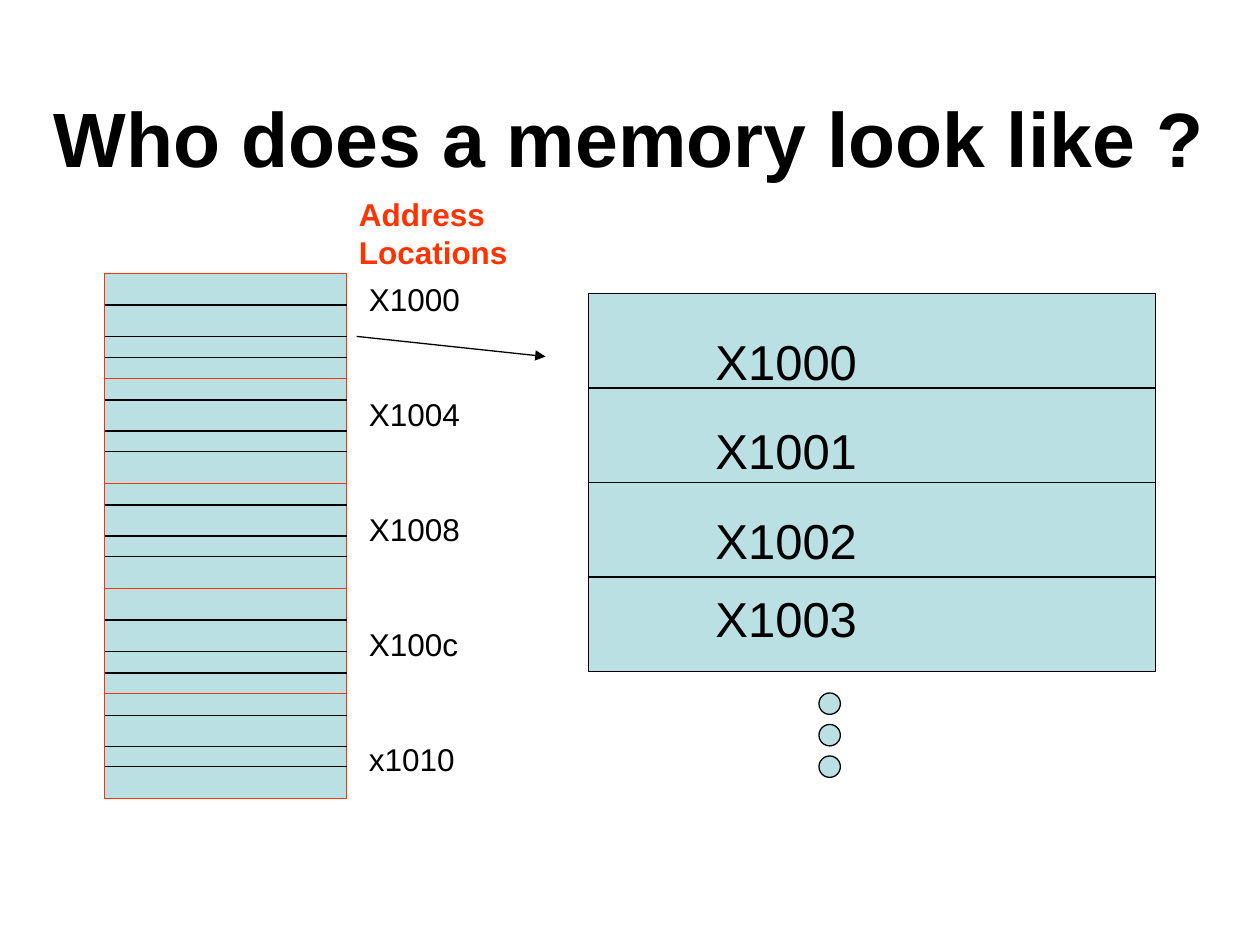
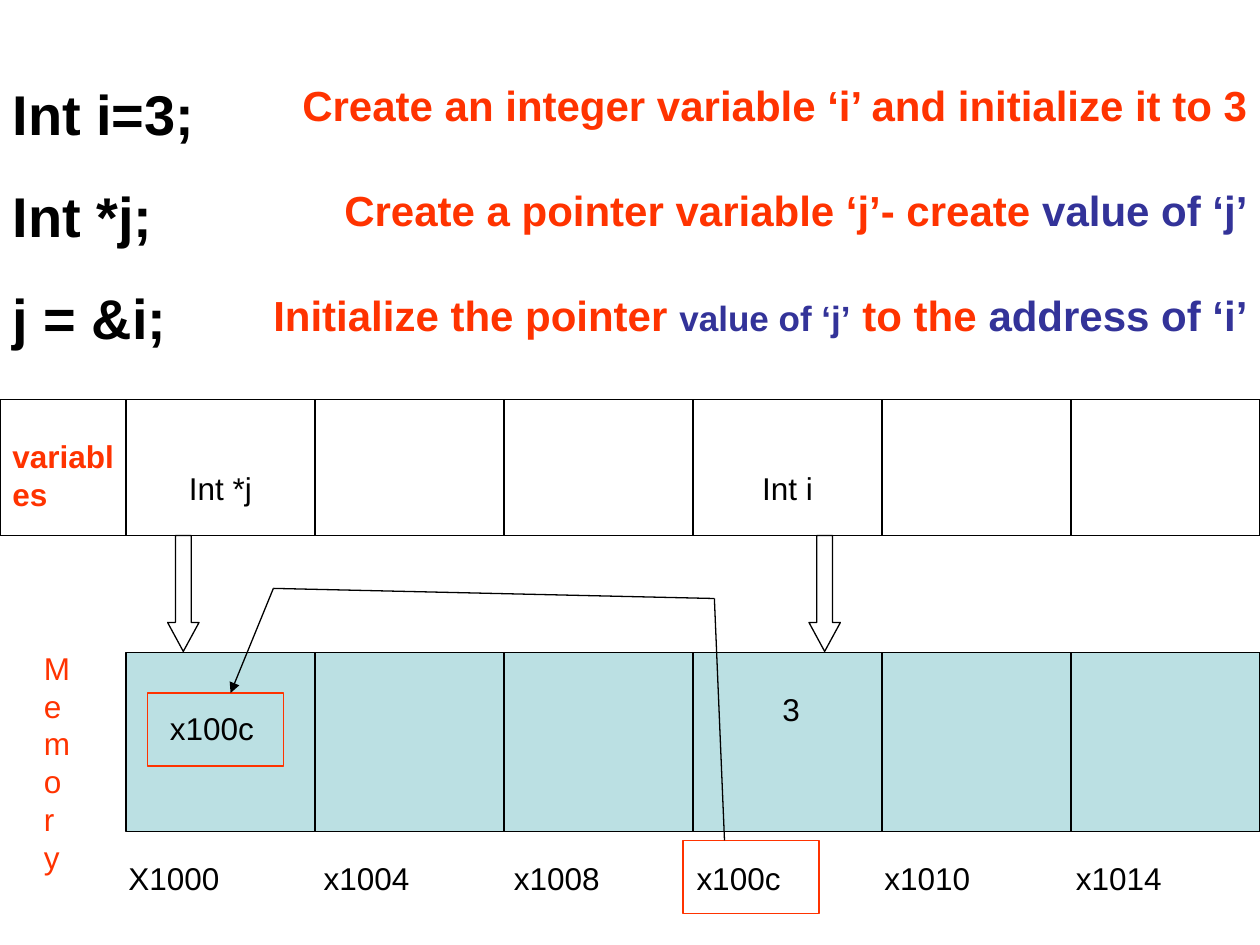
"""Build two slides on memory layout and pointers."""
from lxml import etree
from pptx import Presentation
from pptx.dml.color import RGBColor
from pptx.enum.shapes import MSO_CONNECTOR as CONN, MSO_SHAPE as SHAPE
from pptx.enum.text import MSO_ANCHOR as ANCHOR, MSO_AUTO_SIZE as FIT, PP_ALIGN as ALIGN
from pptx.oxml.ns import qn
from pptx.util import Inches, Pt

COLORS = {"black": "000000", "red": "FF3300", "blue": "333399", "cell": "BBE0E3"}
FONT = "Arial"
LINE_WIDTH = 0.75


def rgb(name):
    return RGBColor.from_string(COLORS[name])


def add_shape(slide, kind, x, y, w, h, fill=None, line="black"):
    sp = slide.shapes.add_shape(kind, Inches(x), Inches(y), Inches(w), Inches(h))
    sp.shadow.inherit = False
    if fill:
        sp.fill.solid()
        sp.fill.fore_color.rgb = rgb(fill)
    else:
        sp.fill.background()
    sp.line.color.rgb = rgb(line)
    sp.line.width = Pt(LINE_WIDTH)
    return sp


def add_line(slide, x1, y1, x2, y2, arrow=False):
    cxn = slide.shapes.add_connector(
        CONN.STRAIGHT, Inches(x1), Inches(y1), Inches(x2), Inches(y2))
    cxn.line.color.rgb = rgb("black")
    cxn.line.width = Pt(LINE_WIDTH)
    if arrow:
        etree.SubElement(cxn.line._get_or_add_ln(), qn("a:tailEnd"), type="triangle")
    etree.SubElement(cxn._element.spPr, qn("a:effectLst"))
    return cxn


def remove_bullet(p):
    pPr = p._p.get_or_add_pPr()
    pPr.set("marL", "0")
    pPr.set("indent", "0")
    etree.SubElement(pPr, qn("a:buNone"))


def add_text(slide, paragraphs, x, y, w, h, size=18, color="black", bold=False,
             align=ALIGN.LEFT, gaps=(), sp=None):
    """Write paragraphs, each a string or a list of (text, format) runs."""
    box = [Inches(v) for v in (x, y, w, h)]
    if sp is None:
        sp = slide.shapes.add_textbox(*box)
    else:
        sp.left, sp.top, sp.width, sp.height = box
    tf = sp.text_frame
    tf.word_wrap = True
    tf.auto_size = FIT.NONE
    tf.vertical_anchor = ANCHOR.TOP
    for i, runs in enumerate(paragraphs):
        p = tf.add_paragraph() if i else tf.paragraphs[0]
        remove_bullet(p)
        p.alignment = align
        p.space_before = Pt(gaps[i - 1] if i else 0)
        for text, fmt in ([(runs, {})] if isinstance(runs, str) else runs):
            r = p.add_run()
            r.text = text
            r.font.name = FONT
            r.font.size = Pt(fmt.get("size", size))
            r.font.bold = bold
            r.font.color.rgb = rgb(fmt.get("color", color))
    return sp


def add_word_column(slide, x, y, w, word_h):
    """Stack five red words, each cut into bytes by three lines."""
    for i in range(5):
        top = y + i * word_h
        word = add_shape(slide, SHAPE.RECTANGLE, x, top, w, word_h, "cell", "red")
        for cut in (0.25, 0.5, 0.67) if i in (0, 3) else (0.17, 0.42, 0.58):
            line = add_line(slide, x, top + cut, x + w, top + cut)
            if cut == 0.42:
                line.begin_connect(word, 1)
                line.end_connect(word, 3)


def build_memory_slide(prs):
    slide = prs.slides.add_slide(prs.slide_layouts[5])
    add_text(slide, ["Who does a memory look like ?"], 0, 0.67, 10, 0.84, size=44,
             bold=True, align=ALIGN.CENTER, sp=slide.shapes.title)

    add_word_column(slide, 0.83, 2.17, 1.92, 4.17 / 5)
    add_text(slide, ["Address Locations"], 2.75, 1.5, 2.25, 0.7, color="red", bold=True)
    add_text(slide, ["X1000", "X1004", "X1008", "X100c", "x1010"],
             2.83, 2.17, 1.25, 4.05, gaps=[44.1] * 4)
    add_line(slide, 2.83, 2.67, 4.33, 2.83, arrow=True)

    for i in range(4):
        add_shape(slide, SHAPE.RECTANGLE, 4.67, 2.33 + i * 0.75, 4.5, 0.75, "cell")
    add_text(slide, ["X1000", "X1001", "X1002", "X1003"],
             5.58, 2.58, 2.5, 2.61, size=28, gaps=[17.5, 17.5, 11.25])
    for i in range(3):
        add_shape(slide, SHAPE.OVAL, 6.5, 5.5 + i * 0.25, 0.17, 0.17, "cell")


def build_pointer_slide(prs):
    slide = prs.slides.add_slide(prs.slide_layouts[1])
    title = slide.shapes.title._element
    title.getparent().remove(title)

    blue = {"color": "blue"}
    add_text(slide, ["Int i=3;", "Int *j;", "j = &i;"], 0, 0.58, 3.83, 2.26,
             size=32, bold=True, gaps=[20, 20], sp=slide.placeholders[1])
    explanations = [
        "Create an integer variable ‘i’ and initialize it to 3",
        [("Create a pointer variable ‘j’- create ", {}), ("value of ‘j’", blue)],
        [("Initialize the pointer ", {}), ("value of ‘j’", {"color": "blue", "size": 20}),
         (" to the ", {}), ("address of ‘i’", blue)],
    ]
    for i, explanation in enumerate(explanations):
        add_text(slide, [explanation], 1.92, 0.58 + i * 0.835, 8.08, 0.5,
                 size=24, color="red", bold=True, align=ALIGN.RIGHT)

    add_shape(slide, SHAPE.RECTANGLE, 0, 3.17, 10, 1.08)
    for i in range(6):
        x = 1 + i * 1.5
        add_line(slide, x, 4.25, x, 3.17)
        add_shape(slide, SHAPE.RECTANGLE, x, 5.18, 1.5, 1.42, "cell")

    add_text(slide, ["variables"], 0, 3.42, 1.08, 0.7, color="red", bold=True)
    add_text(slide, ["Memory"], 0.25, 5.1, 0.33, 1.9, color="red")
    for text, x, y in (("Int *j", 1, 3.67), ("Int i", 5.5, 3.67), ("3", 5.53, 5.43)):
        add_text(slide, [text], x, y, 1.5, 0.4, align=ALIGN.CENTER)
    add_text(slide, ["x100c"], 1.25, 5.58, 1, 0.4)
    addresses = {"X1000": 0.92, "x1004": 2.47, "x1008": 3.98,
                 "x100c": 5.43, "x1010": 6.92, "x1014": 8.44}
    for address, x in addresses.items():
        add_text(slide, [address], x, 6.77, 1, 0.4)

    for x, y in ((1.17, 5.5), (5.42, 6.67)):
        add_shape(slide, SHAPE.RECTANGLE, x, y, 1.08, 0.58, line="red")
    add_line(slide, 5.75, 6.67, 5.67, 4.75)
    add_line(slide, 5.67, 4.75, 2.17, 4.67)
    add_line(slide, 2.17, 4.67, 1.83, 5.5, arrow=True)
    for x in (1.33, 6.42):
        arrow = add_shape(slide, SHAPE.DOWN_ARROW, x, 4.25, 0.25, 0.92)
        arrow.adjustments[0] = 0.5
        arrow.adjustments[1] = 0.92


def main():
    prs = Presentation()
    prs.slide_width, prs.slide_height = Inches(10), Inches(7.5)
    build_memory_slide(prs)
    build_pointer_slide(prs)
    prs.save("out.pptx")


if __name__ == "__main__":
    main()
